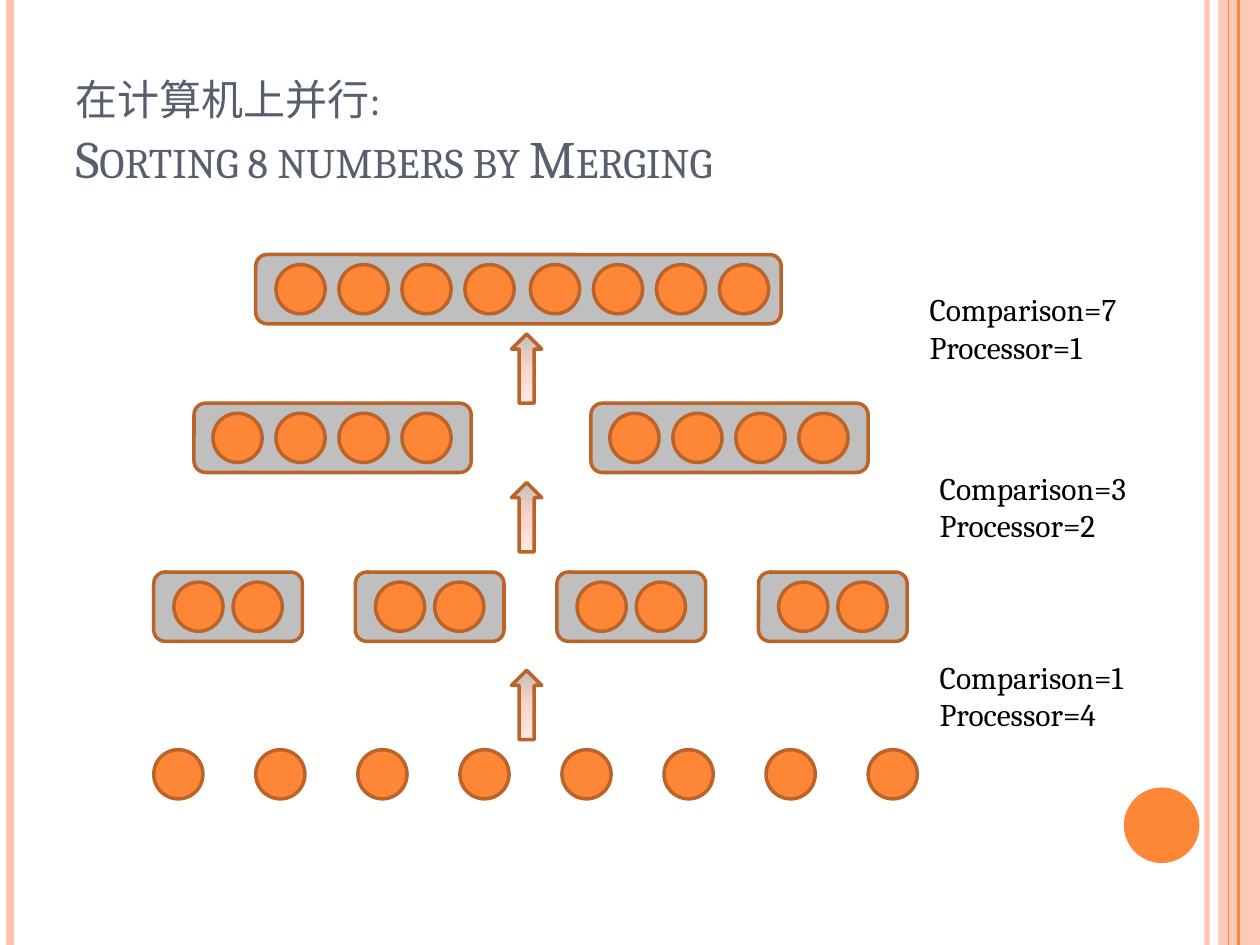
from copy import deepcopy

from lxml import etree
from pptx import Presentation
from pptx.dml.color import RGBColor
from pptx.enum.shapes import MSO_CONNECTOR, MSO_SHAPE
from pptx.enum.text import MSO_ANCHOR, MSO_AUTO_SIZE, PP_ALIGN
from pptx.oxml.ns import qn
from pptx.util import Inches, Pt

STRAIGHT = MSO_CONNECTOR.STRAIGHT
RECTANGLE, OVAL = MSO_SHAPE.RECTANGLE, MSO_SHAPE.OVAL
ROUNDED, UP_ARROW = MSO_SHAPE.ROUNDED_RECTANGLE, MSO_SHAPE.UP_ARROW

ORANGE = RGBColor(0xFE, 0x86, 0x37)
BROWN = RGBColor(0xBC, 0x63, 0x29)
PEACH = RGBColor(0xFE, 0xC3, 0xAE)
GRAY = RGBColor(0xBF, 0xBF, 0xBF)
SLATE = RGBColor(0x57, 0x5F, 0x6D)
BLACK = RGBColor(0, 0, 0)
ARROW_STOPS = [(0, GRAY), (0.5, RGBColor(0xFF, 0xD4, 0xC7)),
               (1, RGBColor(0xFF, 0xEA, 0xE4))]
FONT = "Cambria"
DISC = 0.39
BOX_HEIGHT = 0.55


def add_figure(shapes, kind, left, top, width, height, fill, line=BROWN):
    """Add a preset shape with a plain fill and an optional 2 pt outline."""
    figure = shapes.add_shape(kind, Inches(left), Inches(top),
                              Inches(width), Inches(height))
    figure.shadow.inherit = False
    figure.fill.solid()
    figure.fill.fore_color.rgb = fill
    if line is None:
        figure.line.fill.background()
    else:
        figure.line.color.rgb = line
        figure.line.width = Pt(2)
    return figure


def set_alpha(properties, percent):
    """Make the first RGB colour found in the properties translucent."""
    color = properties.find(".//" + qn("a:srgbClr"))
    etree.SubElement(color, qn("a:alpha")).set("val", str(percent * 1000))


deck = Presentation()
deck.slide_width, deck.slide_height = Inches(10), Inches(7.5)
page = deck.slides.add_slide(deck.slide_layouts[5])

# Side stripes and corner disc
band = add_figure(page.shapes, RECTANGLE, 9.67, 0, 0.33, 7.5, PEACH, None)
set_alpha(band._element.spPr, 87)
for x, color, weight, opacity in [(9.58, PEACH, 3, 93), (0.08, PEACH, 4.5, 100),
                                  (9.83, ORANGE, 1.5, 100), (9.75, ORANGE, 0.75, 100)]:
    stripe = page.shapes.add_connector(STRAIGHT, Inches(x), 0, Inches(x), Inches(7.5))
    stripe.line.color.rgb = color
    stripe.line.width = Pt(weight)
    if opacity < 100:
        set_alpha(stripe._element.spPr, opacity)
    etree.SubElement(stripe._element.spPr, qn("a:effectLst"))
add_figure(page.shapes, OVAL, 8.92, 6.25, 0.6, 0.6, ORANGE, None)

# Title
title = page.shapes.title
title.left, title.top = Inches(0.5), Inches(0.3)
title.width, title.height = Inches(8.17), Inches(1.25)
title.text_frame.vertical_anchor = MSO_ANCHOR.BOTTOM
title.text_frame.auto_size = MSO_AUTO_SIZE.NONE
para = title.text_frame.paragraphs[0]
para.alignment = PP_ALIGN.LEFT
for index, words in enumerate(["在计算机上并行: ", "Sorting 8 numbers by Merging"]):
    if index:
        para.add_line_break()
    span = para.add_run()
    span.text = words
    span.font.name, span.font.size = FONT, Pt(30)
    span.font.color.rgb = SLATE
    span.font._element.set("cap", "small")

# Single numbers, then merged runs of two, four and eight
for i in range(8):
    add_figure(page.shapes, OVAL, 1.22 + 0.81 * i, 5.95, DISC, DISC, ORANGE)

merge_rows = [
    (4.54, 1.18, [1.22, 2.82, 4.42, 6.02], [0.16, 0.63]),
    (3.2, 2.2, [1.54, 4.69], [0.15 + 0.5 * i for i in range(4)]),
    (2.02, 4.17, [2.03], [0.16 + 0.5 * i + 0.02 * (i // 4) for i in range(8)]),
]
for top, width, lefts, offsets in merge_rows:
    for left in lefts:
        group = page.shapes.add_group_shape()
        add_figure(group.shapes, ROUNDED, left, top, width, BOX_HEIGHT, GRAY)
        for offset in offsets:
            add_figure(group.shapes, OVAL, left + offset,
                       top + (BOX_HEIGHT - DISC) / 2, DISC, DISC, ORANGE)

# Arrows between the rows
for top in [5.32, 3.83, 2.65]:
    arrow = add_figure(page.shapes, UP_ARROW, 4.06, top, 0.24, 0.55, GRAY)
    arrow.fill.gradient()
    arrow.fill.gradient_angle = 270
    stop_list = arrow._element.spPr.find(".//" + qn("a:gsLst"))
    stop_list.append(deepcopy(stop_list[0]))
    for stop, (position, color) in zip(arrow.fill.gradient_stops, ARROW_STOPS):
        stop.position = position
        stop.color.rgb = color

# Cost of each merge step
for left, top, comparisons, processors in [(7.36, 5.17, 1, 4), (7.36, 3.67, 3, 2),
                                           (7.28, 2.25, 7, 1)]:
    box = page.shapes.add_textbox(Inches(left), Inches(top), Inches(2.05), Inches(0.71))
    frame = box.text_frame
    frame.word_wrap = True
    frame.auto_size = MSO_AUTO_SIZE.SHAPE_TO_FIT_TEXT
    for index, words in enumerate([f"Comparison={comparisons}", f"Processor={processors}"]):
        para = frame.add_paragraph() if index else frame.paragraphs[0]
        span = para.add_run()
        span.text = words
        span.font.name, span.font.size = FONT, Pt(18)
        span.font.color.rgb = BLACK

deck.save("out.pptx")
